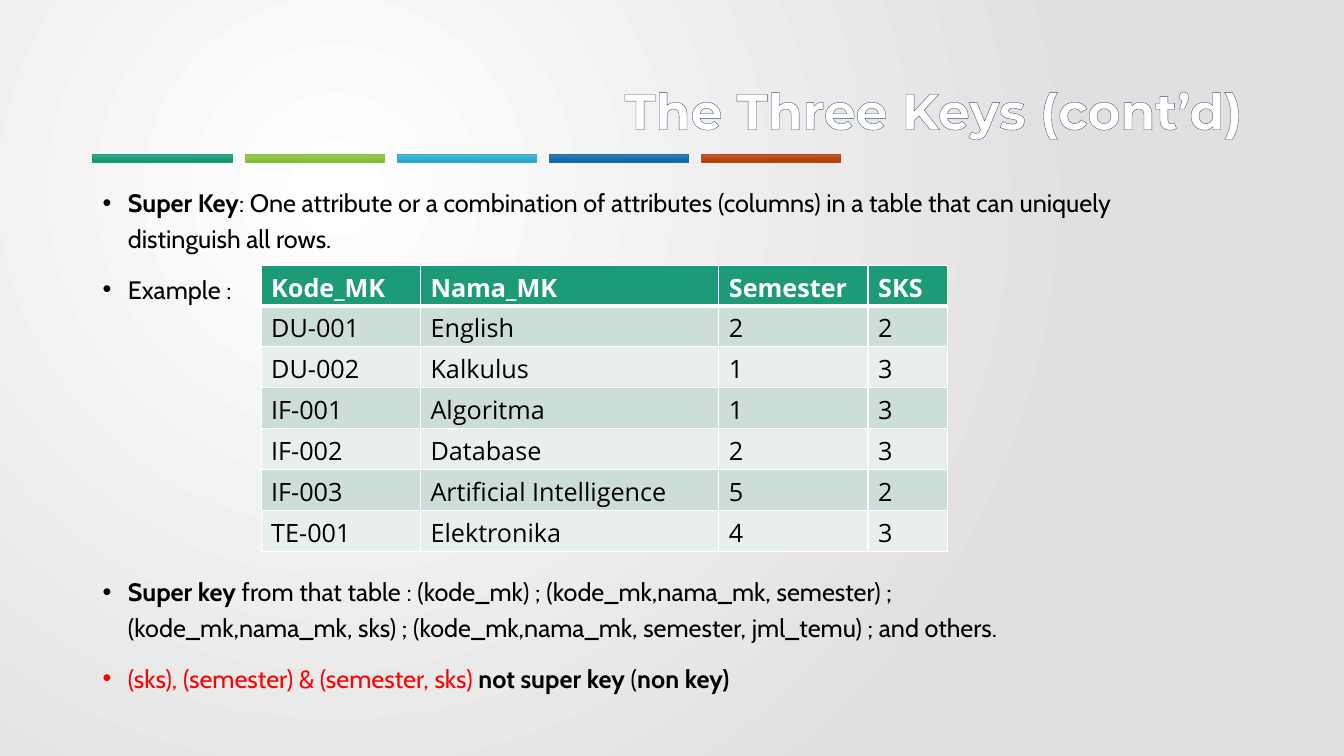
"""Builds the slide on super keys with its example course table."""
from lxml import etree
from pptx import Presentation
from pptx import util as u
from pptx.dml.color import RGBColor
from pptx.enum import shapes, text
from pptx.oxml import parse_xml
from pptx.oxml.ns import nsdecls, qn

BARS = [
    ("1D9A78", ["4EA788", "17A07B", "0F9470"]),
    ("8BC145", ["98C862", "8CC73F", "7DB831"]),
    ("36AFCE", ["59B8D4", "2EB3D6", "21A4C6"]),
    ("1D6FA9", ["4E80B5", "1670B0", "0D65A3"]),
    ("B74919", ["C2634D", "BF4611", "B13B08"]),
]
COURSES = [
    ["Kode_MK", "Nama_MK", "Semester", "SKS"],
    ["DU-001", "English", "2", "2"],
    ["DU-002", "Kalkulus", "1", "3"],
    ["IF-001", "Algoritma", "1", "3"],
    ["IF-002", "Database", "2", "3"],
    ["IF-003", "Artificial Intelligence", "5", "2"],
    ["TE-001", "Elektronika", "4", "3"],
]
DEFINITION = [
    [("Super Key", {"bold": True}),
     (": One attribute or a combination of attributes (columns) in a table "
      "that can uniquely distinguish all rows.", {})],
    [("Example :", {})],
]
ANSWERS = [
    [("Super key ", {"bold": True}),
     ("from that table : (kode_mk) ; (kode_mk,nama_mk, semester) ; "
      "(kode_mk,nama_mk, sks) ; (kode_mk,nama_mk, semester, jml_temu) ; "
      "and others.", {})],
    [("(sks), (semester) & (semester, sks) ", {"color": "FF0000"}),
     ("not super key", {"bold": True}),
     (" (", {}),
     ("non key)", {"bold": True})],
]


def rgb(color):
    """Turn a hex string into a colour."""
    return RGBColor.from_string(color)


def gradient(colors, direction):
    """Return a gradient fill element with evenly spaced stops."""
    step = 100000 // (len(colors) - 1)
    stops = "".join(
        f'<a:gs pos="{i * step}"><a:srgbClr val="{c}"/></a:gs>'
        for i, c in enumerate(colors))
    return parse_xml(f'<a:gradFill {nsdecls("a")} rotWithShape="1">'
                     f'<a:gsLst>{stops}</a:gsLst>{direction}</a:gradFill>')


def add_run(p, content, font="Cabin", size=18, color="000000", bold=False):
    """Add a formatted run to a paragraph."""
    r = p.add_run()
    r.text = content
    r.font.name = font
    r.font.size = u.Pt(size)
    r.font.bold = bold
    r.font.color.rgb = rgb(color)
    return r


def add_box(slide, left, top, width, height):
    """Add a wrapping text box and return its text frame."""
    box = slide.shapes.add_textbox(*map(u.Inches, (left, top, width, height)))
    box.text_frame.word_wrap = True
    return box.text_frame


def set_background(slide):
    """Fill the background with a soft radial gradient."""
    slide.background.fill.solid()
    bg_pr = slide.background._cSld.bg.bgPr
    solid = bg_pr.find(qn("a:solidFill"))
    bg_pr.replace(solid, gradient(
        ["FFFFFF", "E1DFDF"],
        '<a:path path="circle"><a:fillToRect l="50000" t="50000" '
        'r="100000" b="100000"/></a:path>'))


def add_bar(slide, left, line, colors):
    """Add one coloured bar of the strip under the title."""
    sp = slide.shapes.add_shape(
        shapes.MSO_SHAPE.RECTANGLE, u.Inches(left), u.Inches(1.53),
        u.Inches(1.38), u.Inches(0.08))
    sp.shadow.inherit = False
    sp.line.color.rgb = rgb(line)
    sp.line.width = u.Pt(0.5)
    sp.fill.solid()
    solid = sp._element.spPr.find(qn("a:solidFill"))
    sp._element.spPr.replace(
        solid, gradient(colors, '<a:lin ang="5400000" scaled="0"/>'))


def add_title(slide, content):
    """Add the outlined title, aligned right."""
    tf = add_box(slide, 0.92, 0.4, 11.5, 1.45)
    tf.vertical_anchor = text.MSO_ANCHOR.MIDDLE
    p = tf.paragraphs[0]
    p.alignment = text.PP_ALIGN.RIGHT
    p.line_spacing = 0.9
    r = add_run(p, content, font="Montserrat", size=36, color="FFFFFF",
                bold=True)
    r.font._element.insert(0, parse_xml(
        f'<a:ln {nsdecls("a")} w="12700"><a:solidFill>'
        '<a:srgbClr val="3A5274"/></a:solidFill></a:ln>'))


def add_bullets(slide, top, height, items):
    """Add a bulleted list whose items are lists of runs."""
    tf = add_box(slide, 0.92, top, 10.25, height)
    for i, runs in enumerate(items):
        p = tf.add_paragraph() if i else tf.paragraphs[0]
        p.line_spacing = 1.2
        p.space_before = u.Pt(10 if i else 0)
        p_pr = p._p.get_or_add_pPr()
        p_pr.set("marL", str(u.Inches(0.25)))
        p_pr.set("indent", str(-u.Inches(0.25)))
        etree.SubElement(p_pr, qn("a:buFont")).set("typeface", "Arial")
        etree.SubElement(p_pr, qn("a:buChar")).set("char", "•")
        for content, style in runs:
            add_run(p, content, **style)


def set_borders(cell, row):
    """Draw white cell borders, thick under the header row."""
    widths = {"lnL": 1, "lnR": 1, "lnT": 3 if row == 1 else 1,
              "lnB": 3 if row == 0 else 1}
    for tag, width in widths.items():
        cell._tc.get_or_add_tcPr().append(parse_xml(
            f'<a:{tag} {nsdecls("a")} w="{u.Pt(width)}"><a:solidFill>'
            f'<a:srgbClr val="FFFFFF"/></a:solidFill></a:{tag}>'))


def add_course_table(slide, rows):
    """Add the course table with a header and alternating row fills."""
    widths = [1.58, 2.96, 1.48, 0.79]
    table = slide.shapes.add_table(
        len(rows), len(widths), u.Inches(2.59), u.Inches(2.63),
        u.Inches(sum(widths)), u.Inches(2.84)).table
    for column, width in zip(table.columns, widths):
        column.width = u.Inches(width)
    for i, values in enumerate(rows):
        header = i == 0
        fill = "1D9A78" if header else ("E8EFEC", "CDDED6")[i % 2]
        for j, value in enumerate(values):
            cell = table.cell(i, j)
            set_borders(cell, i)
            cell.fill.solid()
            cell.fill.fore_color.rgb = rgb(fill)
            add_run(cell.text_frame.paragraphs[0], value, font="Open Sans",
                    color="FFFFFF" if header else "000000", bold=header)


def main():
    """Build and save the slide."""
    prs = Presentation()
    prs.slide_width, prs.slide_height = u.Inches(13.33), u.Inches(7.5)
    slide = prs.slides.add_slide(prs.slide_layouts[6])
    set_background(slide)
    for i, (line, colors) in enumerate(BARS):
        add_bar(slide, 0.92 + i * 1.51, line, colors)
    add_title(slide, "The Three Keys (cont’d)")
    add_bullets(slide, 1.75, 1.4, DEFINITION)
    add_bullets(slide, 5.61, 1.4, ANSWERS)
    add_course_table(slide, COURSES)
    prs.save("out.pptx")


if __name__ == "__main__":
    main()
